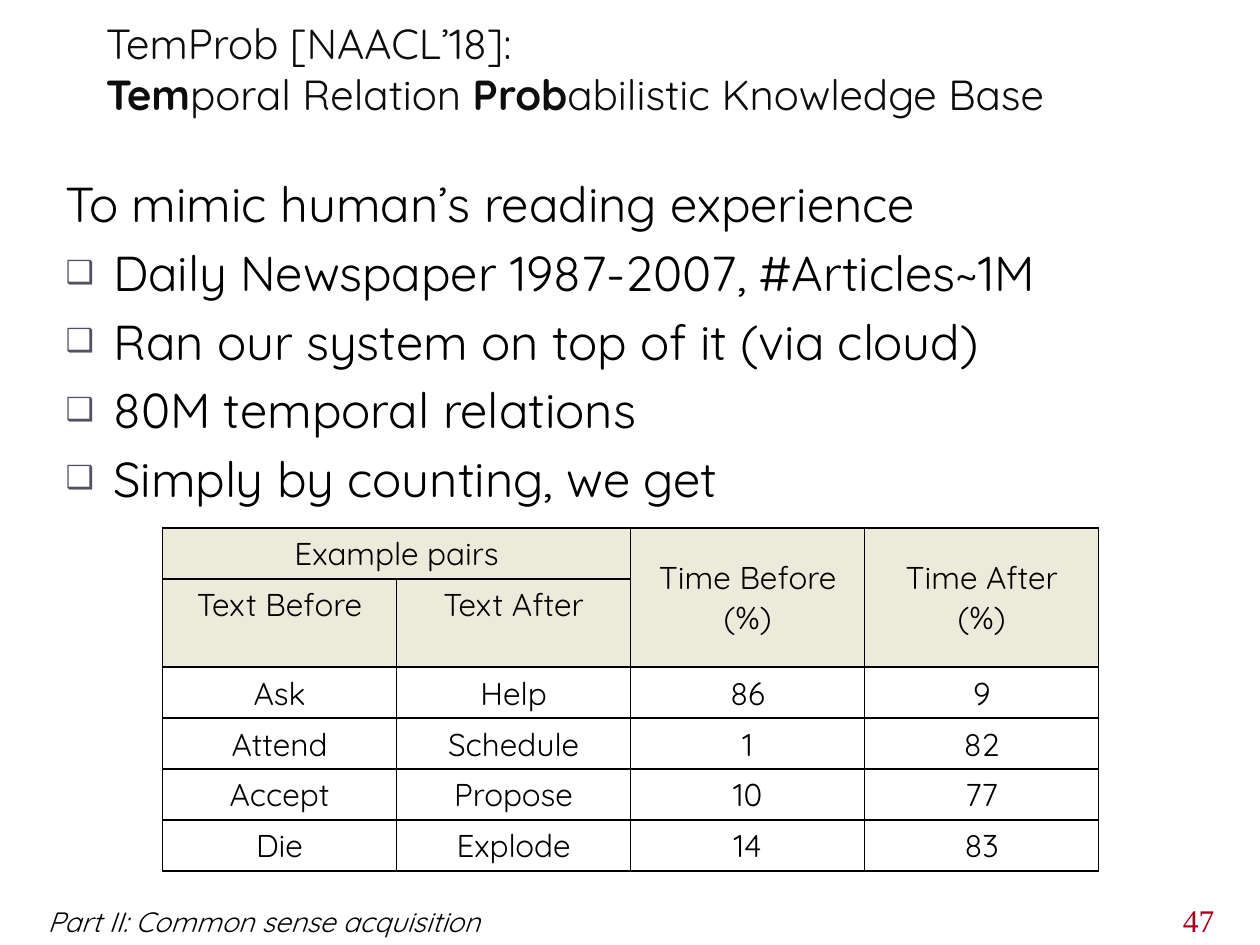
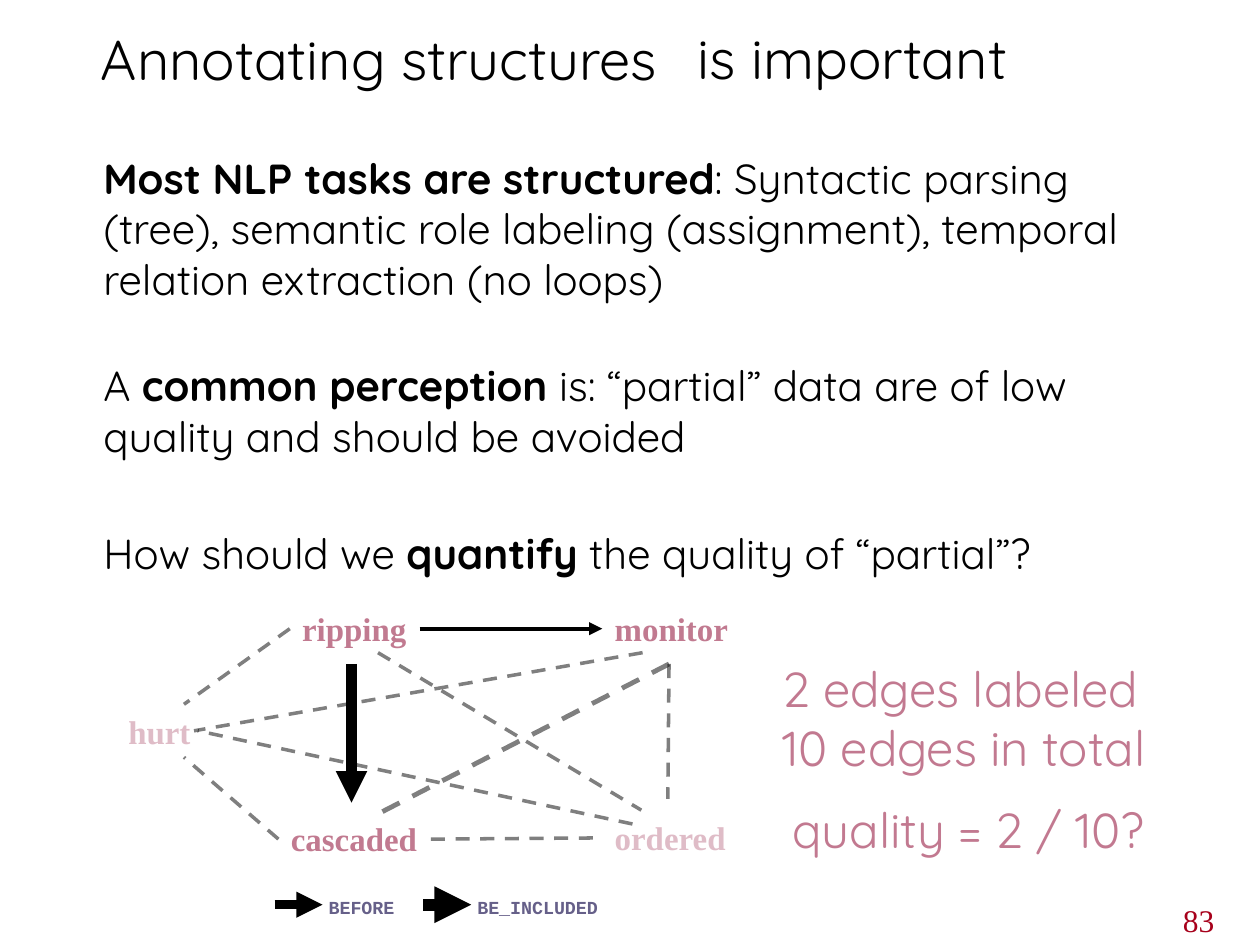
"""Build two slides on temporal relation knowledge and partial annotation."""
from dataclasses import dataclass

from lxml import etree
from pptx import Presentation
from pptx.dml.color import RGBColor
from pptx.enum.dml import MSO_LINE
from pptx.enum.shapes import MSO_CONNECTOR
from pptx.enum.text import MSO_ANCHOR, MSO_AUTO_SIZE, PP_ALIGN
from pptx.oxml import parse_xml
from pptx.oxml.ns import nsdecls, qn
from pptx.util import Inches, Pt

DASH = MSO_LINE.DASH
STRAIGHT = MSO_CONNECTOR.STRAIGHT
TOP, MIDDLE = MSO_ANCHOR.TOP, MSO_ANCHOR.MIDDLE
LEFT, CENTER = PP_ALIGN.LEFT, PP_ALIGN.CENTER
FIXED, GROW = MSO_AUTO_SIZE.NONE, MSO_AUTO_SIZE.SHAPE_TO_FIT_TEXT


@dataclass(frozen=True)
class Style:
    size: float
    color: str = "000000"
    font: str = "Quicksand"
    bold: bool = False
    italic: bool = False
    alpha: int = 100


@dataclass(frozen=True)
class Theme:
    number = Style(18, "A7001B", "Times New Roman")
    subtitle = Style(24, "0D0D0D")
    title = Style(32)
    bullets = Style(28)
    prose = Style(24)
    table = Style(18)
    footer = Style(16, italic=True)
    event = Style(18.8, "C17A90", "Times New Roman", bold=True)
    faded_event = Style(18.8, "C17A90", "Times New Roman", bold=True, alpha=50)
    legend = Style(10.5, "666089", "Courier New", bold=True)
    callout = Style(28, "C27990")
    line = "000000"
    bullet = "545164"
    header_fill = "E6E5CF"
    header_alpha = 74


THEME = Theme()

TEMPROB_TITLE = "TemProb [NAACL’18]:\n**Tem**poral Relation **Prob**abilistic Knowledge Base"
TEMPROB_LEAD = "To mimic human’s reading experience"
TEMPROB_BULLETS = [
    "Daily Newspaper 1987-2007, #Articles~1M",
    "Ran our system on top of it (via cloud)",
    "80M temporal relations",
    "Simply by counting, we get",
]
PAIR_ROWS = [
    ("Example pairs", "", "Time Before (%)", "Time After (%)"),
    ("Text Before", "Text After", "", ""),
    ("Ask", "Help", "86", "9"),
    ("Attend", "Schedule", "1", "82"),
    ("Accept", "Propose", "10", "77"),
    ("Die", "Explode", "14", "83"),
]
HEADER_ROWS = 2
MERGES = [((0, 0), (0, 1)), ((0, 2), (1, 2)), ((0, 3), (1, 3))]
FOOTER = "Part II: Common sense acquisition"

STRUCTURE_PARAGRAPHS = [
    ("**Most NLP tasks are structured**: Syntactic parsing (tree), semantic role "
     "labeling (assignment), temporal relation extraction (no loops)", 0),
    ("A **common perception **is: “partial” data are of low quality and should be avoided", 32),
    ("How should we **quantify** the quality of “partial”?", 38.5),
]
EVENTS = [
    ("ripping", (2.3, 4.78, 1.03, 0.42), THEME.event),
    ("monitor", (4.78, 4.78, 1.11, 0.42), THEME.event),
    ("hurt", (0.92, 5.6, 0.7, 0.42), THEME.faded_event),
    ("cascaded", (2.21, 6.45, 1.21, 0.42), THEME.event),
    ("ordered", (4.78, 6.44, 1.09, 0.42), THEME.faded_event),
]
UNLABELED_EDGES = [
    ((2.3, 4.99), (1.46, 5.59), 2),
    ((3, 5.18), (5.09, 6.43), 2),
    ((3.42, 6.66), (4.78, 6.65), 2),
    ((2.21, 6.66), (1.46, 6.01), 2),
    ((5.31, 5.27), (5.3, 6.34), 2),
    ((5.31, 5.27), (3, 6.46), 2.75),
    ((5.1, 5.18), (1.54, 5.8), 2),
    ((5.02, 6.54), (1.57, 5.8), 2),
]
LABELED_EDGES = [
    ((2.79, 5.27), (2.79, 6.37), 6),
    ((3.33, 4.99), (4.78, 4.99), 2.5),
]
LEGEND = [("BEFORE", 2.18, 0.73, 5), ("BE_INCLUDED", 3.36, 1.17, 7)]
CALLOUTS = [
    (["2 edges labeled", "10 edges in total"], (6.11, 5.18, 3.35, 1.04)),
    (["quality = 2 / 10?"], (6.19, 6.3, 3.21, 0.57)),
]


def set_alpha(element, percent):
    for color in element.iter(qn("a:srgbClr")):
        etree.SubElement(color, qn("a:alpha"), val=str(percent * 1000))


def write(para, text, style):
    for index, part in enumerate(text.split("**")):
        for line_index, line in enumerate(part.split("\n")):
            if line_index:
                para.add_line_break()
            if not line:
                continue
            span = para.add_run()
            span.text = line
            font = span.font
            font.name, font.size = style.font, Pt(style.size)
            font.bold = style.bold or index % 2 == 1
            font.italic = style.italic
            font.color.rgb = RGBColor.from_string(style.color)
            if style.alpha < 100:
                set_alpha(span._r, style.alpha)


def write_all(frame, texts, style):
    for index, text in enumerate(texts):
        para = frame.add_paragraph() if index else frame.paragraphs[0]
        para.alignment = LEFT
        write(para, text, style)


def add_text(shapes, texts, place, style):
    box = shapes.add_textbox(*map(Inches, place))
    box.text_frame.auto_size = GROW
    write_all(box.text_frame, texts, style)


def place_placeholder(box, place, anchor):
    box.left, box.top, box.width, box.height = map(Inches, place)
    box.text_frame.auto_size = FIXED
    box.text_frame.vertical_anchor = anchor
    return box.text_frame


def set_indent(para, indent, bullet=None):
    properties = para._p.get_or_add_pPr()
    properties.set("marL", str(Inches(indent)))
    properties.set("indent", str(-Inches(indent)))
    if bullet is None:
        etree.SubElement(properties, qn("a:buNone"))
        return
    color = etree.SubElement(properties, qn("a:buClr"))
    etree.SubElement(color, qn("a:srgbClr"), val=THEME.bullet)
    etree.SubElement(properties, qn("a:buSzPct"), val="65000")
    etree.SubElement(properties, qn("a:buChar"), char=bullet)


def add_line(shapes, start, end, width, arrow=False):
    line = shapes.add_connector(STRAIGHT, *map(Inches, start + end))
    line.line.width = Pt(width)
    line.line.color.rgb = RGBColor.from_string(THEME.line)
    properties = line._element.spPr
    if arrow:
        etree.SubElement(properties.find(qn("a:ln")), qn("a:tailEnd"), type="triangle")
    else:
        line.line.dash_style = DASH
        set_alpha(properties, 50)
    etree.SubElement(properties, qn("a:effectLst"))


def add_page(deck, number, title, title_place, title_style):
    page = deck.slides.add_slide(deck.slide_layouts[1])
    frame = place_placeholder(page.shapes.title, title_place, MIDDLE)
    write_all(frame, [title], title_style)
    add_text(page.shapes, [number], (9.29, 7.1, 0.49, 0.4), THEME.number)
    return page


def draw_borders(cell):
    properties = cell._tc.get_or_add_tcPr()
    for index, side in enumerate(("lnL", "lnR", "lnT", "lnB")):
        properties.insert(index, parse_xml(
            f'<a:{side} {nsdecls("a")} w="{Pt(1)}"><a:solidFill>'
            f'<a:srgbClr val="{THEME.line}"/></a:solidFill></a:{side}>'))


def add_pair_table(page):
    place = map(Inches, (1.29, 4.19, 7.43, 2.43))
    table = page.shapes.add_table(len(PAIR_ROWS), len(PAIR_ROWS[0]), *place).table
    table.first_row = table.horz_banding = False
    for row_index, row in enumerate(PAIR_ROWS):
        for column_index, text in enumerate(row):
            cell = table.cell(row_index, column_index)
            para = cell.text_frame.paragraphs[0]
            para.alignment = CENTER
            write(para, text, THEME.table)
            if row_index < HEADER_ROWS:
                cell.fill.solid()
                cell.fill.fore_color.rgb = RGBColor.from_string(THEME.header_fill)
                set_alpha(cell._tc.tcPr, THEME.header_alpha)
            else:
                cell.fill.background()
            draw_borders(cell)
    for first, last in MERGES:
        table.cell(*first).merge(table.cell(*last))
        if first[0] != last[0]:
            table.cell(*first).vertical_anchor = MIDDLE


def build_temprob(deck):
    page = add_page(deck, "47", TEMPROB_TITLE, (0.74, 0.25, 8.5, 0.58), THEME.subtitle)
    frame = place_placeholder(page.placeholders[1], (0.42, 1.33, 9.33, 5.67), TOP)
    write_all(frame, [TEMPROB_LEAD] + TEMPROB_BULLETS, THEME.bullets)
    for index, para in enumerate(frame.paragraphs):
        set_indent(para, *((0.38, "❑") if index else (0,)))
        para.space_before = Pt(5.6 if index else 0)
    add_pair_table(page)
    add_text(page.shapes, [FOOTER], (0.28, 7.13, 5.47, 0.37), THEME.footer)


def build_structures(deck):
    page = add_page(deck, "83", "Annotating structures", (0.7, 0.14, 4.83, 0.64), THEME.title)
    page.shapes.title.text_frame.word_wrap = False
    add_text(page.shapes, ["is important"], (5.44, 0.14, 2.72, 0.64), THEME.title)
    frame = place_placeholder(page.placeholders[1], (0.72, 1.16, 8.72, 5.54), TOP)
    write_all(frame, [text for text, _ in STRUCTURE_PARAGRAPHS], THEME.prose)
    for para, (_, gap) in zip(frame.paragraphs, STRUCTURE_PARAGRAPHS):
        set_indent(para, 0)
        para.space_before = Pt(gap)

    graph = page.shapes.add_group_shape().shapes
    for name, place, style in EVENTS:
        add_text(graph, [name], place, style)
    for edge in UNLABELED_EDGES:
        add_line(graph, *edge)
    for edge in LABELED_EDGES:
        add_line(graph, *edge, arrow=True)
    for label, left, width, weight in LEGEND:
        add_line(graph, (left, 7.18), (left + 0.38, 7.18), weight, arrow=True)
        add_text(graph, [label], (left + 0.33, 7.06, width, 0.28), THEME.legend)

    for lines, place in CALLOUTS:
        add_text(page.shapes, lines, place, THEME.callout)


def main():
    deck = Presentation()
    deck.slide_width, deck.slide_height = Inches(10), Inches(7.5)
    build_temprob(deck)
    build_structures(deck)
    deck.save("out.pptx")


if __name__ == "__main__":
    main()
